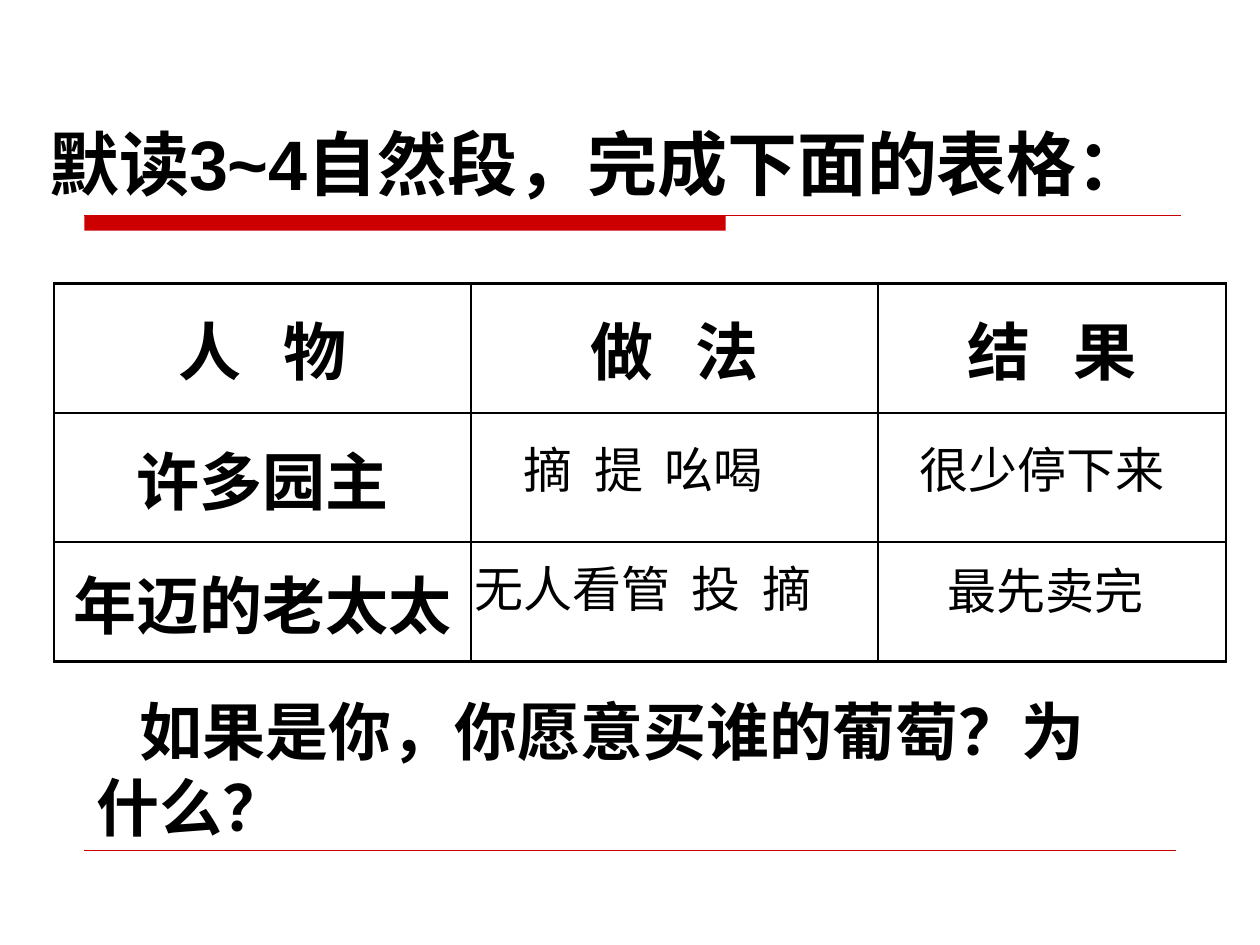
from typing import NamedTuple

from lxml.etree import SubElement
from pptx import Presentation
from pptx.dml.color import RGBColor
from pptx.enum.shapes import MSO_CONNECTOR as Connector, MSO_SHAPE as Shape
from pptx.enum.text import MSO_ANCHOR as Anchor, MSO_AUTO_SIZE as AutoSize, PP_ALIGN as Align
from pptx.oxml.ns import qn
from pptx.util import Inches, Pt

COLORS = {"ink": "000000", "accent": "CC0000"}
COLUMNS, ROWS = 100, 75
BORDER_WIDTH = Pt(1.5)


class Area(NamedTuple):
    column: float
    row: float
    columns: float
    rows: float


class Style(NamedTuple):
    font: str
    size: int
    bold: bool = False
    gap: int = 0


class Note(NamedTuple):
    text: str
    area: Area
    style: Style
    indent: float = 0


class Rule(NamedTuple):
    column: float
    row: float
    columns: float
    weight: float


TITLE = Style("Arial", 40, True)
LABEL = Style("Karla", 36, True, gap=16)
QUESTION = Style("DejaVu Sans", 36, True)
ACTION = Style("Noto Sans CJK SC", 28, gap=6)
RESULT = Style("DejaVu Sans", 28)

TITLE_AREA = Area(2.9, 9.1, 94, 7.7)
ACCENT_BAR = Area(6.7, 17.1, 50.9, 1.2)
RULES = [Rule(6.7, 17.1, 87, 0.75), Rule(6.7, 67.5, 86.6, 0.25)]
TABLE_AREA = Area(4.3, 22.5, 93, 30)
TABLE_COLUMNS = [33.1, 32.3, 27.6]
TABLE_ROWS = [10.3, 10.2, 9.5]
LABELS = [["人 物", "做 法", "结 果"], ["许多园主", "", ""], ["年迈的老太太", "", ""]]
NOTES = [
    Note("如果是你，你愿意买谁的葡萄？为什么？", Area(6.7, 54.5, 84, 13), QUESTION, 3.4),
    Note("摘 提 吆喝", Area(40.6, 34.4, 26, 5.7), ACTION),
    Note("很少停下来", Area(72, 34.4, 23, 5.7), RESULT),
    Note("无人看管 投 摘", Area(36.7, 43.8, 33, 5.7), ACTION),
    Note("最先卖完", Area(74.2, 44, 20, 5.7), RESULT),
]

deck = Presentation()
deck.slide_width, deck.slide_height = Inches(10), Inches(7.5)
page = deck.slides.add_slide(deck.slide_layouts[5])


def across(columns: float) -> int:
    return round(deck.slide_width * columns / COLUMNS)


def down(rows: float) -> int:
    return round(deck.slide_height * rows / ROWS)


def place(area: Area) -> tuple[int, int, int, int]:
    return across(area.column), down(area.row), across(area.columns), down(area.rows)


def color(name: str) -> RGBColor:
    return RGBColor.from_string(COLORS[name])


def write(frame, text: str, style: Style, align: Align = Align.LEFT) -> None:
    para = frame.paragraphs[0]
    para.alignment = align
    parts = text.replace(" ", "| |").split("|") if style.gap else [text]
    for part in parts:
        span = para.add_run()
        span.text = part
        span.font.name, span.font.size, span.font.bold = style.font, Pt(style.size), style.bold
        span.font.color.rgb = color("ink")
        if part == " ":
            span.font._element.set("spc", str(style.gap * 100))


def draw_rule(rule: Rule) -> None:
    top = down(rule.row)
    line = page.shapes.add_connector(
        Connector.STRAIGHT, across(rule.column), top, across(rule.column + rule.columns), top)
    line.line.color.rgb = color("accent")
    line.line.width = Pt(rule.weight)
    SubElement(line._element.spPr, qn("a:effectLst"))


def draw_bar(area: Area) -> None:
    bar = page.shapes.add_shape(Shape.RECTANGLE, *place(area))
    bar.shadow.inherit = False
    bar.fill.solid()
    bar.fill.fore_color.rgb = color("accent")
    bar.line.fill.background()


def outline(cell) -> None:
    properties = cell._tc.get_or_add_tcPr()
    for side in ("lnL", "lnR", "lnT", "lnB"):
        border = SubElement(properties, qn(f"a:{side}"), w=str(BORDER_WIDTH))
        fill = SubElement(border, qn("a:solidFill"))
        SubElement(fill, qn("a:srgbClr"), val=COLORS["ink"])


def draw_table() -> None:
    table = page.shapes.add_table(len(TABLE_ROWS), len(TABLE_COLUMNS), *place(TABLE_AREA)).table
    table.first_row = table.horz_banding = False
    for column, columns in zip(table.columns, TABLE_COLUMNS):
        column.width = across(columns)
    for row, rows, labels in zip(table.rows, TABLE_ROWS, LABELS):
        row.height = down(rows)
        for cell, label in zip(row.cells, labels):
            outline(cell)
            cell.fill.background()
            cell.vertical_anchor = Anchor.MIDDLE
            if label:
                write(cell.text_frame, label, LABEL, Align.CENTER)


def draw_note(note: Note) -> None:
    box = page.shapes.add_textbox(*place(note.area))
    box.text_frame.word_wrap = True
    write(box.text_frame, note.text, note.style)
    if note.indent:
        properties = box.text_frame.paragraphs[0]._p.get_or_add_pPr()
        properties.set("marL", "0")
        properties.set("indent", str(across(note.indent)))


def draw_title() -> None:
    title = page.shapes.title
    title.left, title.top, title.width, title.height = place(TITLE_AREA)
    frame = title.text_frame
    frame.word_wrap, frame.auto_size = True, AutoSize.NONE
    frame.vertical_anchor = Anchor.TOP
    write(frame, "默读3~4自然段，完成下面的表格：", TITLE)


def main() -> None:
    draw_bar(ACCENT_BAR)
    for rule in RULES:
        draw_rule(rule)
    draw_table()
    draw_title()
    for note in NOTES:
        draw_note(note)
    deck.save("out.pptx")


if __name__ == "__main__":
    main()
